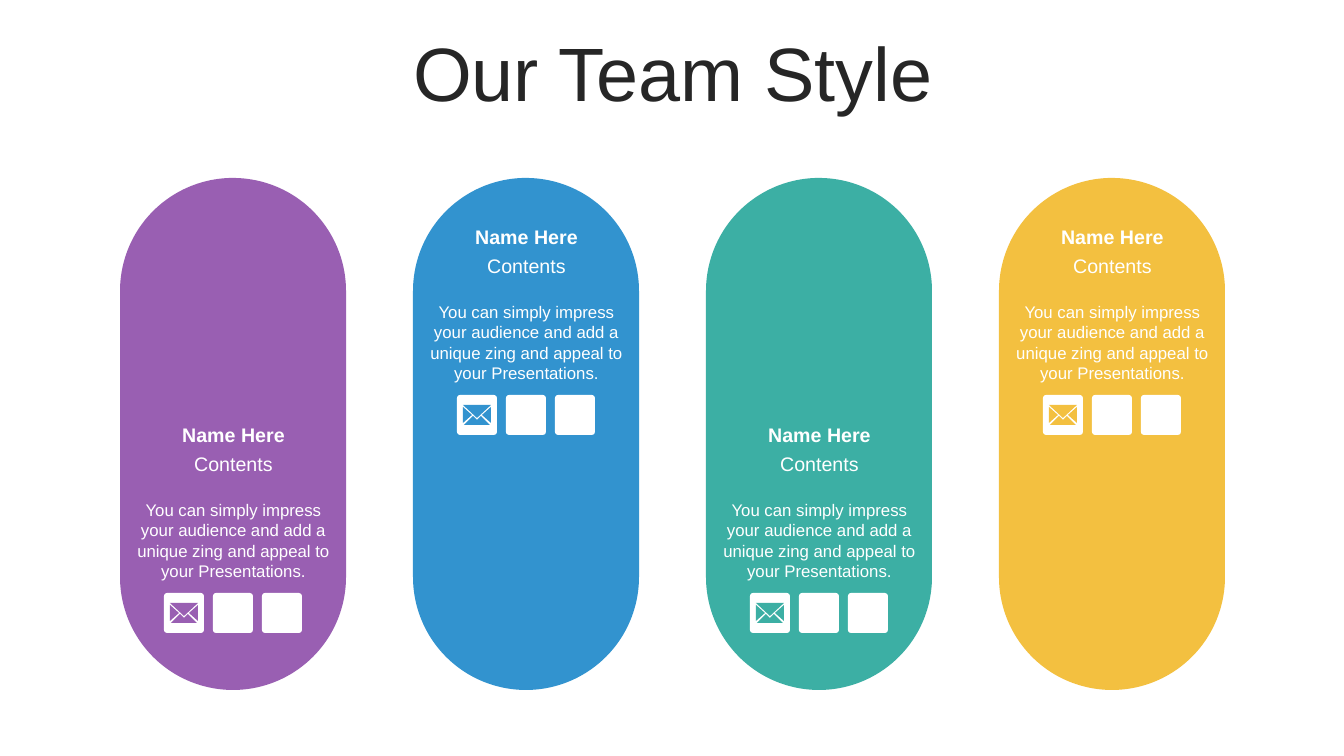
from pptx import Presentation
from pptx.dml.color import RGBColor
from pptx.enum.shapes import MSO_SHAPE
from pptx.enum.text import MSO_ANCHOR, MSO_AUTO_SIZE, PP_ALIGN
from pptx.util import Emu, Pt

ROUNDED = MSO_SHAPE.ROUNDED_RECTANGLE
MIDDLE, TOP = MSO_ANCHOR.MIDDLE, MSO_ANCHOR.TOP
FIXED, GROW = MSO_AUTO_SIZE.NONE, MSO_AUTO_SIZE.SHAPE_TO_FIT_TEXT
CENTER = PP_ALIGN.CENTER

EMU_PER_PX = 914400 / 100.8
WHITE, DARK = "FFFFFF", "262626"
FONT = "Arial"

CARD_COLORS = ["995FB2", "3293CF", "3CAFA4", "F3C040"]
CARD_LEFT, CARD_TOP, CARD_STEP = 120, 178, 293
CARD_WIDTH, CARD_HEIGHT = 226, 512
PROFILE_TOPS = [421, 223]
TILE_LEFT, TILE_STEP, TILE_SIZE, TILE_COUNT = 44, 49, 40, 3

ENVELOPE_PARTS = [
    [(6, 10), (20, 23), (34, 10)],
    [(6, 12), (6, 28), (15, 20)],
    [(34, 12), (34, 28), (25, 20)],
    [(24, 21), (20, 25), (16, 21), (7, 30), (33, 30)],
]

BIO = ("You can simply impress your audience and add a unique zing "
       "and appeal to your Presentations.")
PROFILE_LINES = [
    ("Name Here", 0, 27, {"size": Pt(14), "bold": True}, {"vertical_anchor": MIDDLE}),
    ("Contents", 29, 27, {"size": Pt(14)}, {"vertical_anchor": MIDDLE}),
    (BIO, 74, 92, {"size": Pt(12)}, {"vertical_anchor": TOP, "auto_size": GROW}),
]


def px(length):
    return Emu(round(length * EMU_PER_PX))


def rgb(hex_color):
    return RGBColor.from_string(hex_color)


def apply(target, values):
    for name, value in values.items():
        setattr(target, name, value)


def paint(shape, hex_color):
    shape.shadow.inherit = False
    shape.fill.solid()
    shape.fill.fore_color.rgb = rgb(hex_color)
    shape.line.fill.background()


def write(frame, text, hex_color, font, frame_format):
    apply(frame, {"word_wrap": True, **frame_format})
    para = frame.paragraphs[0]
    para.alignment = CENTER
    span = para.add_run()
    span.text = text
    apply(span.font, {"name": FONT, **font})
    span.font.color.rgb = rgb(hex_color)
    return para


def add_title(page, text):
    title = page.shapes.title
    apply(title, {"left": px(35), "top": px(37), "width": px(1276), "height": px(80)})
    para = write(title.text_frame, text, DARK, {"size": Pt(54)},
                 {"vertical_anchor": MIDDLE, "auto_size": FIXED})
    para.line_spacing = 0.9


def add_rounded(page, left, top, width, height, radius, hex_color):
    shape = page.shapes.add_shape(ROUNDED, px(left), px(top), px(width), px(height))
    shape.adjustments[0] = radius
    paint(shape, hex_color)


def add_envelope(page, left, top, hex_color):
    contours = [[(left + x, top + y) for x, y in part] for part in ENVELOPE_PARTS]
    builder = page.shapes.build_freeform(*contours[0][0], scale=EMU_PER_PX)
    for contour in contours:
        if contour is not contours[0]:
            builder.move_to(*contour[0])
        builder.add_line_segments(contour[1:], close=True)
    paint(builder.convert_to_shape(), hex_color)


def add_profile(page, left, top, hex_color):
    for text, offset, height, font, frame_format in PROFILE_LINES:
        box = page.shapes.add_textbox(px(left), px(top + offset), px(CARD_WIDTH + 1), px(height))
        write(box.text_frame, text, WHITE, font, frame_format)
    tile_top = top + 172
    for index in range(TILE_COUNT):
        tile_left = left + TILE_LEFT + index * TILE_STEP
        add_rounded(page, tile_left, tile_top, TILE_SIZE, TILE_SIZE, 0.08, WHITE)
    add_envelope(page, left + TILE_LEFT, tile_top, hex_color)


def main():
    deck = Presentation()
    apply(deck, {"slide_width": px(1344), "slide_height": px(756)})
    page = deck.slides.add_slide(deck.slide_layouts[5])
    add_title(page, "Our Team Style")
    for index, hex_color in enumerate(CARD_COLORS):
        left = CARD_LEFT + index * CARD_STEP
        add_rounded(page, left, CARD_TOP, CARD_WIDTH, CARD_HEIGHT, 0.5, hex_color)
        add_profile(page, left, PROFILE_TOPS[index % 2], hex_color)
    deck.save("out.pptx")


if __name__ == "__main__":
    main()
